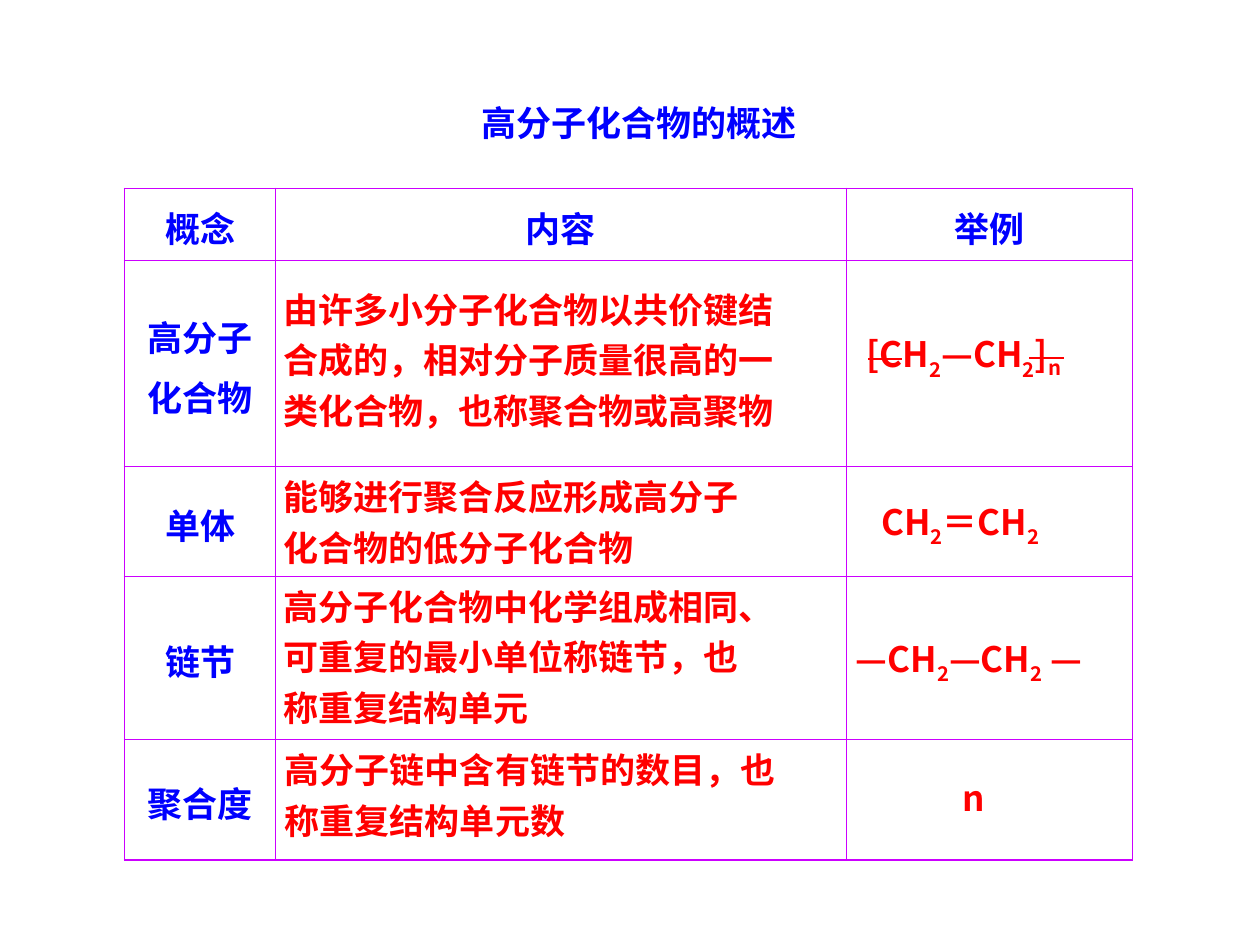
from lxml import etree
from pptx import Presentation
from pptx.dml.color import RGBColor
from pptx.enum.shapes import MSO_CONNECTOR
from pptx.enum.text import MSO_ANCHOR, MSO_AUTO_SIZE, PP_ALIGN
from pptx.oxml.ns import qn
from pptx.util import Cm, Pt

CENTER, LEFT = PP_ALIGN.CENTER, PP_ALIGN.LEFT
TOP, MIDDLE, BOTTOM = MSO_ANCHOR.TOP, MSO_ANCHOR.MIDDLE, MSO_ANCHOR.BOTTOM
GROW = MSO_AUTO_SIZE.SHAPE_TO_FIT_TEXT
STRAIGHT = MSO_CONNECTOR.STRAIGHT
SANS, SERIF = "Noto Sans CJK SC", "Times New Roman"
BLUE, RED, PURPLE = "0000FF", "FF0000", "CC00FF"


def write(frame, lines, color, font, align, spacing=1.0):
    """Each line is a list of (text, baseline in percent) runs."""
    for index, runs in enumerate(lines):
        para = frame.paragraphs[0] if index == 0 else frame.add_paragraph()
        para.alignment = align
        para.line_spacing = spacing
        if index:
            para.space_before = Pt(2.5)
        for text, baseline in runs:
            span = para.add_run()
            span.text = text
            span.font.size = Pt(20)
            span.font.bold = True
            span.font.color.rgb = RGBColor.from_string(color)
            span.font.name = font
            properties = span.font._element
            etree.SubElement(properties, qn("a:ea"), typeface=SANS)
            if baseline:
                properties.set("baseline", str(baseline * 1000))


def add_text(shapes, place, lines, color, font, align, anchor, spacing=1.0):
    box = shapes.add_textbox(*[Cm(length) for length in place])
    frame = box.text_frame
    frame.word_wrap = False
    frame.auto_size = GROW
    frame.vertical_anchor = anchor
    # Centre the block of text in its box, whatever the paragraph alignment
    frame._txBody.bodyPr.set("anchorCtr", "1")
    write(frame, lines, color, font, align, spacing)


deck = Presentation()
deck.slide_width, deck.slide_height = Cm(25.4), Cm(19.05)
page = deck.slides.add_slide(deck.slide_layouts[6])

# Title
add_text(page.shapes, (7.73, 1.93, 10.31, 1.12), [[("高分子化合物的概述", 0)]],
         BLUE, SANS, CENTER, TOP)

# Table with headings and concept names
widths = [3.05, 11.5, 5.77]
heights = [1.45, 4.16, 2.21, 3.28, 2.44]
labels = [
    [["概念"], ["内容"], ["举例"]],
    [["高分子", "化合物"]],
    [["单体"]],
    [["链节"]],
    [["聚合度"]],
]
last_row, last_column = len(heights) - 1, len(widths) - 1
frame = page.shapes.add_table(len(heights), len(widths), Cm(2.51), Cm(3.8),
                              Cm(sum(widths)), Cm(sum(heights)))
table = frame.table
for column, width in zip(table.columns, widths):
    column.width = Cm(width)
for row, height in zip(table.rows, heights):
    row.height = Cm(height)

for r in range(len(heights)):
    for c in range(len(widths)):
        cell = table.cell(r, c)
        cell.vertical_anchor = MIDDLE
        if c < len(labels[r]):
            write(cell.text_frame, [[(text, 0)] for text in labels[r][c]],
                  BLUE, SERIF, CENTER, 1.1)
        # Thin inner borders, thicker outer ones
        outer = {"L": c == 0, "R": c == last_column, "T": r == 0, "B": r == last_row}
        cell_properties = cell._tc.get_or_add_tcPr()
        for side, is_outer in outer.items():
            border = etree.SubElement(cell_properties, qn("a:ln" + side),
                                      w=str(Pt(1.08 if is_outer else 0.45)))
            fill = etree.SubElement(border, qn("a:solidFill"))
            etree.SubElement(fill, qn("a:srgbClr"), val=PURPLE)
        cell.fill.background()

# Polymer formula with the bonds that cross its brackets
polymer = page.shapes.add_group_shape()
add_text(polymer.shapes, (17.07, 6.56, 4.88, 1.27),
         [[("[CH", 0), ("2", -30), ("—CH", 0), ("2", -30), ("]", 0), ("n", -25), (" ", 0)]],
         RED, SANS, CENTER, MIDDLE)
for left, top in [(17.5, 7.24), (20.75, 7.21)]:
    bond = polymer.shapes.add_connector(STRAIGHT, Cm(left), Cm(top),
                                        Cm(left + 0.69), Cm(top))
    bond.line.color.rgb = RGBColor.from_string(RED)
    bond.line.width = Pt(1)
    etree.SubElement(bond._element.spPr, qn("a:effectLst"))

# Other examples
add_text(page.shapes, (17.04, 9.96, 4.8, 1.22),
         [[("CH", 0), ("2", -25), ("＝CH", 0), ("2", -25), (" ", 0)]],
         RED, SANS, CENTER, MIDDLE)
add_text(page.shapes, (16.46, 12.73, 6.15, 1.22),
         [[("—CH", 0), ("2", -25), ("—CH", 0), ("2", -25), (" —", 0)]],
         RED, SANS, CENTER, MIDDLE)
add_text(page.shapes, (18.9, 15.27, 1.47, 1.37), [[("n", 0)]],
         RED, SANS, CENTER, TOP, 1.3)

# Definitions
definitions = [
    (5.46, 5.59, 3.23, ["由许多小分子化合物以共价键结",
                        "合成的，相对分子质量很高的一",
                        "类化合物，也称聚合物或高聚物"]),
    (5.46, 9.37, 2.21, ["能够进行聚合反应形成高分子", "化合物的低分子化合物"]),
    (5.46, 11.58, 3.23, ["高分子化合物中化学组成相同、",
                         "可重复的最小单位称链节，也",
                         "称重复结构单元"]),
    (5.49, 14.88, 2.21, ["高分子链中含有链节的数目，也", "称重复结构单元数"]),
]
for left, top, height, lines in definitions:
    add_text(page.shapes, (left, top, 11.02, height), [[(text, 0)] for text in lines],
             RED, SERIF, LEFT, BOTTOM, 1.1)

deck.save("out.pptx")
